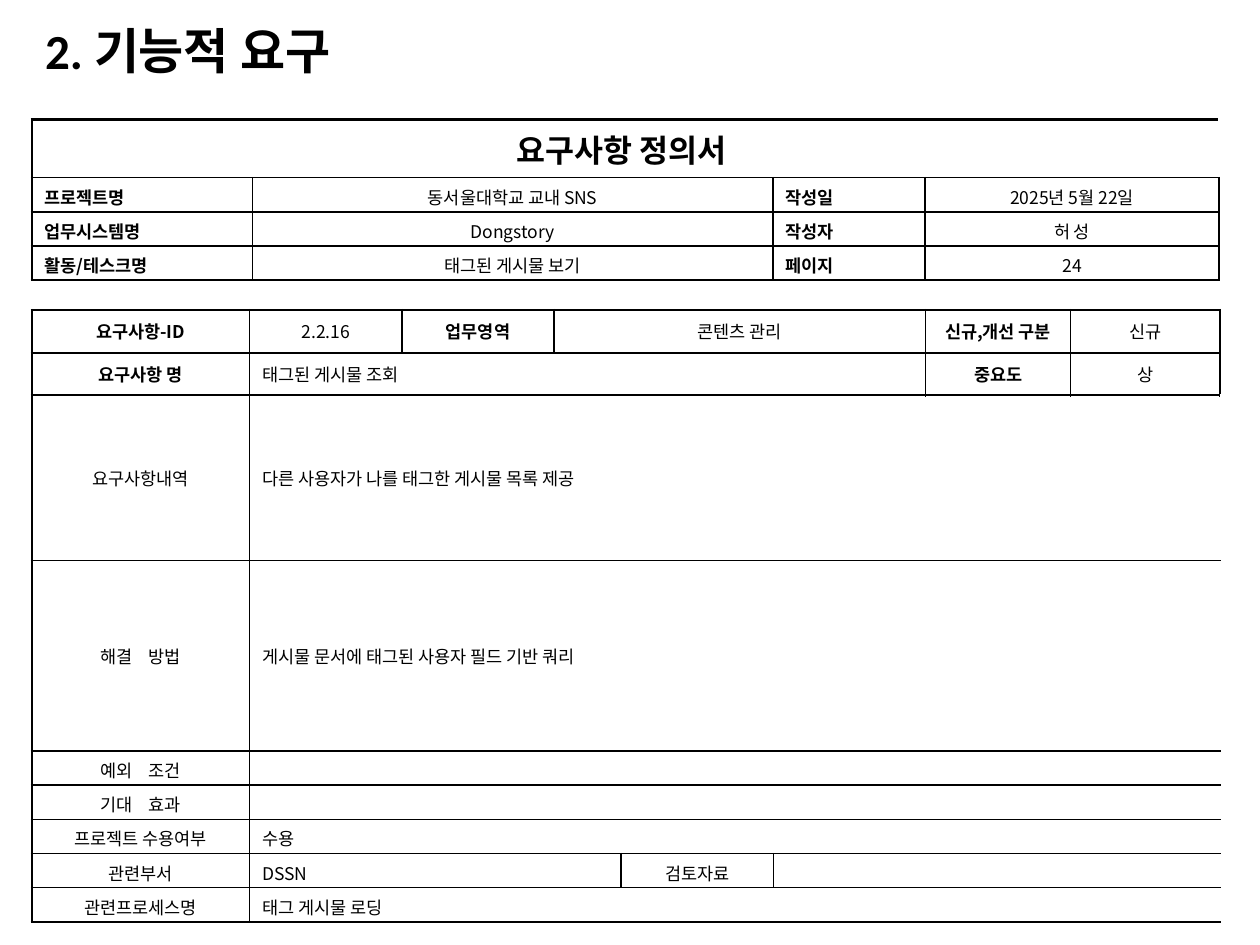
import pptx
import pptx.dml.color
import pptx.enum.text
import pptx.oxml.ns
import pptx.util
import lxml.etree

Cm = pptx.util.Cm
Pt = pptx.util.Pt
qn = pptx.oxml.ns.qn
ALIGN = pptx.enum.text.PP_ALIGN
ANCHOR = pptx.enum.text.MSO_ANCHOR

THEME = {
    "ink": "000000",
    "font": "Noto Sans CJK KR",
    "latin": "Calibri",
    "title": 28,
    "banner": 18,
    "body": 10,
    "thin": 1,
    "thick": 1.5,
    "word_gap": 700,
}

STYLES = {
    "banner": {"align": ALIGN.CENTER, "bold": True, "size": THEME["banner"]},
    "name": {"align": ALIGN.JUSTIFY, "bold": True},
    "head": {"align": ALIGN.CENTER, "bold": True},
    "value": {"align": ALIGN.CENTER},
    "spread": {"align": ALIGN.CENTER, "gap": THEME["word_gap"]},
    "text": {"align": ALIGN.LEFT},
    "detail": {"align": ALIGN.LEFT, "font": THEME["latin"]},
}

TITLE = "2. 기능적 요구"

SUMMARY = {
    "at": (0.64, 2.41),
    "columns": [4.45, 10.49, 3.07, 5.92],
    "heights": [1.17] + [0.69] * 3,
    "heavy": [],
    "anchor": ANCHOR.TOP,
    "rows": [
        [("요구사항 정의서 ", "banner", 4)],
        [("프로젝트명", "name", 1), ("동서울대학교 교내 SNS", "value", 1),
         ("작성일", "name", 1), ("2025년 5월 22일", "value", 1)],
        [("업무시스템명 ", "name", 1), ("Dongstory", "value", 1),
         ("작성자", "name", 1), ("허 성", "value", 1)],
        [("활동/테스크명", "name", 1), ("태그된 게시물 보기", "value", 1),
         ("페이지", "name", 1), ("24", "value", 1)],
    ],
}

REQUIREMENT = {
    "at": (0.64, 6.25),
    "columns": [4.39, 3.07, 3.07, 1.35, 3.07, 3.07, 2.92, 3.02],
    "heights": [0.86, 0.86, 3.33, 3.84] + [0.69] * 5,
    "heavy": [1, 2],
    "anchor": ANCHOR.MIDDLE,
    "rows": [
        [("요구사항-ID", "head", 1), ("2.2.16", "value", 1), ("업무영역", "head", 1),
         ("콘텐츠 관리", "value", 3), ("신규,개선 구분", "head", 1), ("신규", "value", 1)],
        [("요구사항 명", "head", 1), ("태그된 게시물 조회", "text", 5),
         ("중요도", "head", 1), ("상", "value", 1)],
        [("요구사항내역", "value", 1),
         ("다른 사용자가 나를 태그한 게시물 목록 제공", "detail", 7)],
        [("해결 방법", "spread", 1),
         ("게시물 문서에 태그된 사용자 필드 기반 쿼리", "text", 7)],
        [("예외 조건", "spread", 1), ("", "text", 7)],
        [("기대 효과", "spread", 1), ("", "text", 7)],
        [("프로젝트 수용여부", "value", 1), ("수용", "text", 7)],
        [("관련부서", "value", 1), ("DSSN", "text", 3),
         ("검토자료", "value", 1), ("", "text", 3)],
        [("관련프로세스명", "value", 1), ("태그 게시물 로딩", "text", 7)],
    ],
}


def add_span(para, text, size, bold, font):
    span = para.add_run()
    span.text = text
    span.font.size = Pt(size)
    span.font.bold = bold
    span.font.name = font
    span.font.color.rgb = pptx.dml.color.RGBColor.from_string(THEME["ink"])
    east = lxml.etree.SubElement(span.font._element, qn("a:ea"))
    east.set("typeface", THEME["font"])
    return span


def write_cell(cell, text, style):
    para = cell.text_frame.paragraphs[0]
    para.alignment = style["align"]
    gap = style.get("gap")
    for part in text.partition(" ") if gap else (text,):
        if part:
            span = add_span(para, part, style.get("size", THEME["body"]),
                            style.get("bold", False), style.get("font", THEME["font"]))
            if part == " ":
                span.font._element.set("spc", str(gap))


def shrink_empty(cell):
    para = cell.text_frame.paragraphs[0]
    if not para.runs:
        end = lxml.etree.SubElement(para._p, qn("a:endParaRPr"))
        end.set("sz", str(THEME["body"] * 100))


def draw_borders(cell, widths):
    props = cell._tc.get_or_add_tcPr()
    for side in "LRTB":
        if side in widths:
            line = lxml.etree.SubElement(props, qn("a:ln" + side))
            line.set("w", str(int(Pt(widths[side]))))
            fill = lxml.etree.SubElement(line, qn("a:solidFill"))
            lxml.etree.SubElement(fill, qn("a:srgbClr")).set("val", THEME["ink"])


def add_form(page, form):
    columns, heights = form["columns"], form["heights"]
    left, top = form["at"]
    grid = page.shapes.add_table(len(heights), len(columns), Cm(left), Cm(top),
                                 Cm(sum(columns)), Cm(sum(heights))).table
    grid.first_row = grid.horz_banding = False
    for column, width in zip(grid.columns, columns):
        column.width = Cm(width)
    for row, height in zip(grid.rows, heights):
        row.height = Cm(height)

    heavy_rows = {0, len(heights), *form["heavy"]}
    heavy_columns = {0, len(columns)}

    def weight(edge, heavy):
        return THEME["thick" if edge in heavy else "thin"]

    for r, entries in enumerate(form["rows"]):
        start = 0
        for text, style, width in entries:
            stop = start + width
            if width > 1:
                grid.cell(r, start).merge(grid.cell(r, stop - 1))
            write_cell(grid.cell(r, start), text, STYLES[style])
            for c in range(start, stop):
                cell = grid.cell(r, c)
                widths = {"T": weight(r, heavy_rows), "B": weight(r + 1, heavy_rows)}
                if c == start:
                    widths["L"] = weight(c, heavy_columns)
                if c == stop - 1:
                    widths["R"] = weight(stop, heavy_columns)
                draw_borders(cell, widths)
                cell.fill.background()
                cell.vertical_anchor = form["anchor"]
                shrink_empty(cell)
            start = stop


def add_title(page):
    box = page.shapes.add_textbox(Cm(0.66), Cm(0.53), Cm(13.61), Cm(1.12))
    frame = box.text_frame
    frame.word_wrap = True
    frame.vertical_anchor = ANCHOR.MIDDLE
    para = frame.paragraphs[0]
    para.line_spacing = 0.9
    add_span(para, TITLE, THEME["title"], True, THEME["latin"])


def main():
    """Build the requirement definition slide."""
    deck = pptx.Presentation()
    deck.slide_width, deck.slide_height = Cm(25.4), Cm(19.05)
    page = deck.slides.add_slide(deck.slide_layouts[6])
    add_title(page)
    for form in (REQUIREMENT, SUMMARY):
        add_form(page, form)
    deck.save("out.pptx")


if __name__ == "__main__":
    main()
